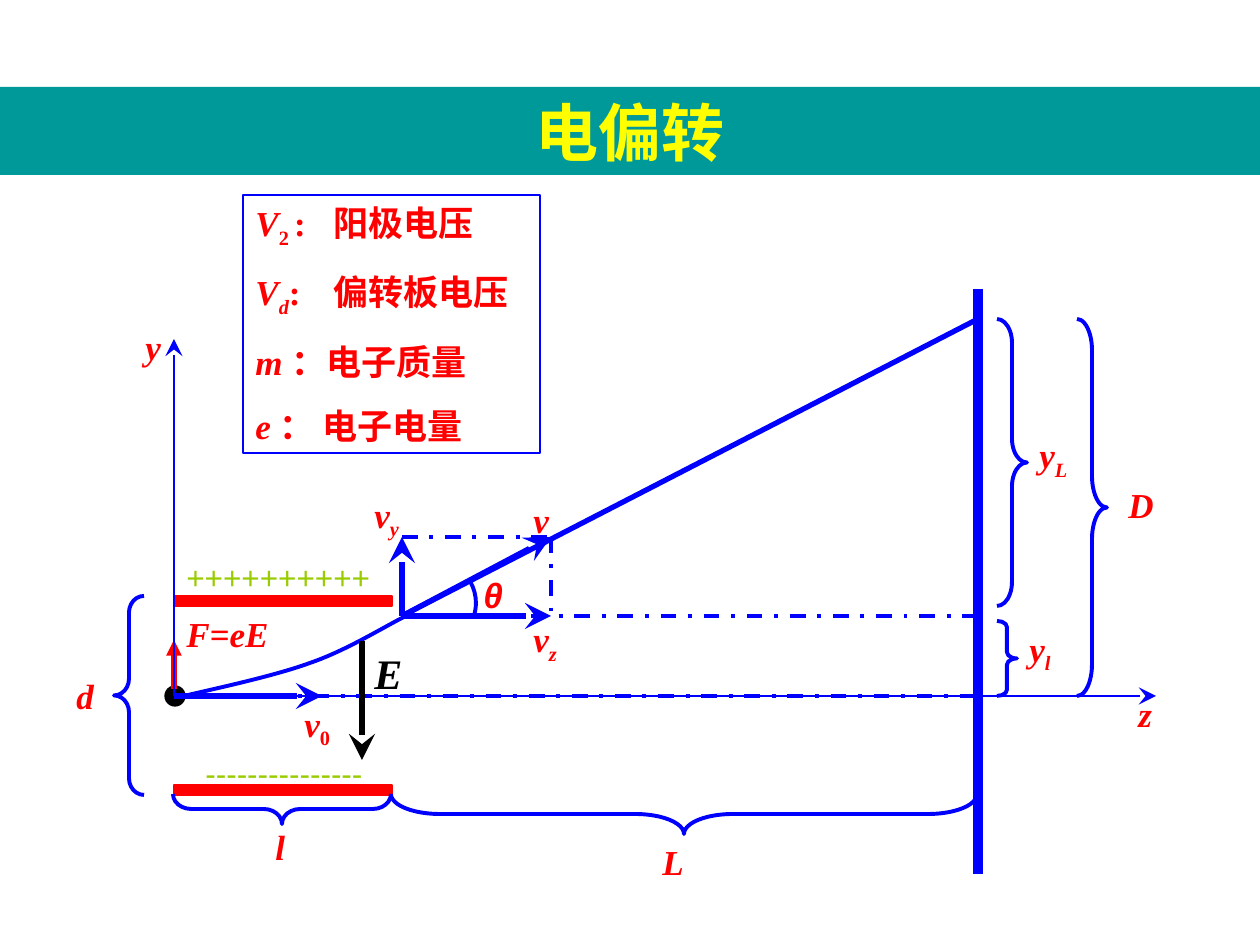
from lxml import etree
from pptx import Presentation
from pptx import util as u
from pptx.dml.color import RGBColor
from pptx.enum import dml, shapes, text
from pptx.oxml import ns

PX = u.Inches(1) // 126
TEAL = RGBColor(0x00, 0x99, 0x99)
YELLOW = RGBColor(0xFF, 0xFF, 0x00)
RED = RGBColor(0xFF, 0x00, 0x00)
BLUE = RGBColor(0x00, 0x00, 0xFF)
BLACK = RGBColor(0x00, 0x00, 0x00)
GREEN = RGBColor(0x99, 0xCC, 0x00)
SERIF, SANS = "Times New Roman", "Arial"

# Main positions of the diagram, in px
AXIS_X, AXIS_Y = 174, 696
EXIT_X, EXIT_Y = 402, 616
TIP_X, TIP_Y = 551, 537
SCREEN_X, HIT_Y = 978, 319
PLATE_END, PLATE_TOP, PLATE_BOTTOM = 392, 596, 785
PLATE_HEIGHT = 10

# A run is its text and its style: i italic, s subscript
LEGEND = [
    [("V", "i"), ("2 ", "s"), (":\t阳极电压", "")],
    [("V", "i"), ("d", "is"), (":\t偏转板电压", "")],
    [("m ", "i"), ("：电子质量", "")],
    [("e ", "i"), ("： 电子电量", "")],
]
# left, top, width, runs, format
LABELS = [
    (263, 819, 69, [("l", "i")], {}),
    (64, 668, 69, [("d", "i")], {}),
    (1017, 621, 69, [("y", "i"), ("l", "is")], {}),
    (174, 606, 129, [("F=eE", "i")], {}),
    (1027, 427, 69, [("y", "i"), ("L", "is")], {}),
    (292, 696, 69, [("v", "i"), ("0", "s")], {}),
    (521, 611, 69, [("v", "i"), ("z", "is")], {}),
    (362, 487, 69, [("v", "i"), ("y", "is")], {}),
    (521, 492, 69, [("v", "i")], {}),
    (650, 834, 69, [("L", "i")], {}),
    (1116, 477, 69, [("D", "i")], {}),
    (133, 319, 69, [("y", "i")], {}),
    (1126, 686, 69, [("z", "i")], {}),
    (471, 567, 69, [("θ", "i")], {"font": SANS}),
    (174, 552, 214, [("++++++++++", "")],
     {"size": 18, "font": SANS, "color": GREEN, "bold": False}),
    (193, 748, 214, [("---------------", "")],
     {"size": 18, "font": SANS, "color": GREEN, "bold": False}),
    (362, 641, 154, [("E", "i")], {"size": 24, "color": BLACK}),
]
# start, end, format
LINES = [
    ((SCREEN_X, 289), (SCREEN_X, 874), {"width": 6}),
    ((EXIT_X, EXIT_Y), (SCREEN_X, HIT_Y), {}),
    ((EXIT_X, EXIT_Y), (SCREEN_X, EXIT_Y), {"dashed": True}),
    ((184, AXIS_Y), (SCREEN_X, AXIS_Y), {"dashed": True}),
    ((AXIS_X, 689), (AXIS_X, 640), {"color": RED, "head": "triangle"}),
    ((EXIT_X, EXIT_Y), (EXIT_X, TIP_Y), {"head": "stealth"}),
    ((EXIT_X, EXIT_Y), (TIP_X, EXIT_Y), {"head": "stealth"}),
    ((EXIT_X, TIP_Y), (TIP_X, TIP_Y), {"dashed": True}),
    ((TIP_X, TIP_Y), (TIP_X, EXIT_Y), {"dashed": True}),
    ((EXIT_X, EXIT_Y), (TIP_X, TIP_Y), {"head": "stealth"}),
    ((AXIS_X, AXIS_Y), (322, AXIS_Y), {"head": "stealth"}),
    ((AXIS_X, AXIS_Y), (1156, AXIS_Y), {"width": 0.75, "head": "stealth"}),
    ((AXIS_X, AXIS_Y), (AXIS_X, 339), {"width": 0.75, "head": "stealth"}),
    ((362, 641), (362, 760), {"color": BLACK, "head": "stealth"}),
]
# side the tip points to, left, top, depth, length
BRACES = [
    ("left", 114, PLATE_TOP, 30, 199),
    ("right", 997, 621, 20, 75),
    ("right", 997, HIT_Y, 30, 287),
    ("right", 1077, HIT_Y, 30, AXIS_Y - HIT_Y),
    ("down", 173, 794, 30, 218),
    ("down", 391, 794, 40, 586),
]
# Start of the electron's path, then three points for each Bézier curve
ELECTRON_PATH = [(184, 696), (204, 691), (272, 677), (310, 663),
                 (348, 650), (387, 625), (408, 615)]


def add_shape(slide, kind, left, top, width, height, fill=None, line=None, weight=0.75):
    shape = slide.shapes.add_shape(kind, left * PX, top * PX, width * PX, height * PX)
    paint(shape, fill, line, weight)
    return shape


def paint(shape, fill, line, weight):
    shape.shadow.inherit = False
    if fill is None:
        shape.fill.background()
    else:
        shape.fill.solid()
        shape.fill.fore_color.rgb = fill
    if line is None:
        shape.line.fill.background()
    else:
        shape.line.color.rgb = line
        shape.line.width = u.Pt(weight)


def write_text(shape, paragraphs, size=20, font=SERIF, color=RED, bold=True,
               align=text.PP_ALIGN.LEFT, gap=0, tab=None):
    frame = shape.text_frame
    frame.word_wrap = True
    frame.vertical_anchor = text.MSO_ANCHOR.TOP
    for index, runs in enumerate(paragraphs):
        paragraph = frame.add_paragraph() if index else frame.paragraphs[0]
        paragraph.alignment = align
        if index:
            paragraph.space_before = u.Pt(gap)
        if tab:
            tabs = etree.SubElement(paragraph._p.get_or_add_pPr(), ns.qn("a:tabLst"))
            etree.SubElement(tabs, ns.qn("a:tab"), pos=str(tab * PX), algn="l")
        for words, style in runs:
            run = paragraph.add_run()
            run.text = words
            run.font.size = u.Pt(size)
            run.font.name = font
            run.font.color.rgb = color
            run.font.bold = bold
            run.font.italic = "i" in style
            if "s" in style:
                run._r.get_or_add_rPr().set("baseline", "-25000")


def add_line(slide, start, end, color=BLUE, width=3, dashed=False, head=None):
    points = [value * PX for value in (*start, *end)]
    connector = slide.shapes.add_connector(shapes.MSO_CONNECTOR.STRAIGHT, *points)
    connector.line.color.rgb = color
    connector.line.width = u.Pt(2.25 if dashed else width)
    if dashed:
        connector.line.dash_style = dml.MSO_LINE.DASH_DOT
    if head:
        size = "lg" if head == "stealth" else "med"
        etree.SubElement(connector.line._get_or_add_ln(), ns.qn("a:tailEnd"),
                         type=head, w=size, len=size)
    etree.SubElement(connector._element.spPr, ns.qn("a:effectLst"))


def add_brace(slide, side, left, top, depth, length):
    """Draw a brace; one that points down is a left brace turned about its centre."""
    kind = shapes.MSO_SHAPE.RIGHT_BRACE if side == "right" else shapes.MSO_SHAPE.LEFT_BRACE
    if side == "down":
        shift = (length - depth) // 2
        left, top = left + shift, top - shift
    brace = add_shape(slide, kind, left, top, depth, length, line=BLUE, weight=2.25)
    brace.adjustments[0] = length / 12 / depth
    if side == "down":
        brace.rotation = 270


def add_curve(slide, points):
    """Draw an outline, then turn each three of its line segments into one Bézier."""
    builder = slide.shapes.build_freeform(*points[0], scale=PX)
    builder.add_line_segments(points[1:], close=False)
    curve = builder.convert_to_shape()
    paint(curve, None, BLUE, 2.25)
    outline = curve._element.find(".//" + ns.qn("a:path"))
    segments = outline.findall(ns.qn("a:lnTo"))
    for index in range(0, len(segments), 3):
        bezier = etree.SubElement(outline, ns.qn("a:cubicBezTo"))
        for segment in segments[index:index + 3]:
            bezier.append(segment[0])
            outline.remove(segment)


def main():
    presentation = Presentation()
    presentation.slide_width, presentation.slide_height = 1260 * PX, 945 * PX
    slide = presentation.slides.add_slide(presentation.slide_layouts[6])
    rectangle = shapes.MSO_SHAPE.RECTANGLE

    title = add_shape(slide, rectangle, 0, 87, 1260, 88, fill=TEAL)
    write_text(title, [[("电偏转", "")]], size=36, font=SANS, color=YELLOW,
               align=text.PP_ALIGN.CENTER)

    for top in (PLATE_TOP, PLATE_BOTTOM):
        add_shape(slide, rectangle, AXIS_X, top, PLATE_END - AXIS_X, PLATE_HEIGHT,
                  fill=RED, line=RED)
    add_shape(slide, shapes.MSO_SHAPE.OVAL, 165, 686, 20, 20, fill=BLACK, line=BLACK)
    add_curve(slide, ELECTRON_PATH)
    for start, end, style in LINES:
        add_line(slide, start, end, **style)
    for brace in BRACES:
        add_brace(slide, *brace)

    angle = add_shape(slide, shapes.MSO_SHAPE.ARC, 373, 556, 103, 94, line=BLUE, weight=2.25)
    for index, degrees in enumerate((335, 17)):
        angle.adjustments[index] = degrees * 0.6  # stored in 1/60000 degree

    legend = add_shape(slide, rectangle, 243, 195, 297, 258, line=BLUE)
    write_text(legend, LEGEND, gap=12.5, tab=78)
    for left, top, width, runs, style in LABELS:
        box = slide.shapes.add_textbox(left * PX, top * PX, width * PX, 55 * PX)
        write_text(box, [runs], **style)

    presentation.save("out.pptx")


if __name__ == "__main__":
    main()
